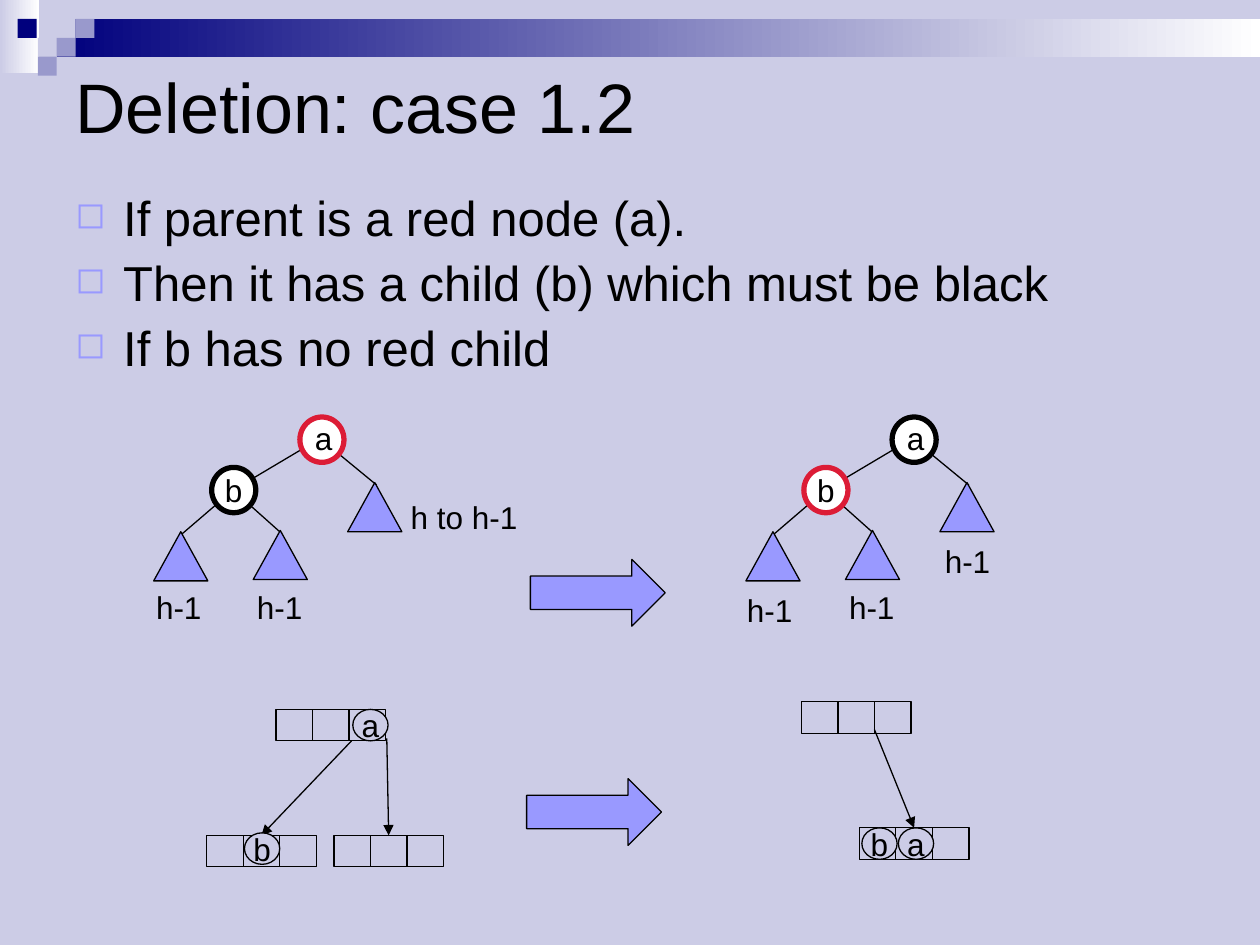
from lxml.etree import SubElement
from pptx import Presentation
from pptx.dml.color import RGBColor
from pptx.enum.shapes import MSO_CONNECTOR, MSO_SHAPE
from pptx.enum.text import MSO_ANCHOR, PP_ALIGN
from pptx.oxml.ns import qn
from pptx.util import Inches, Pt

LAVENDER = RGBColor(0xCC, 0xCC, 0xE6)
MUTED = RGBColor(0x99, 0x99, 0xCC)
PERIWINKLE = RGBColor(0x99, 0x99, 0xFF)
NAVY = RGBColor(0x00, 0x00, 0x7D)
RED = RGBColor(0xDC, 0x1C, 0x36)
BLACK = RGBColor(0x00, 0x00, 0x00)
WHITE = RGBColor(0xFF, 0xFF, 0xFF)


class TreeSlide:
    """Draws styled elements on one slide, with lengths in inches."""

    font_name = "Arial"
    thin = 0.75
    cell_width = 0.29
    cell_height = 0.25

    def __init__(self, presentation):
        self.slide = presentation.slides.add_slide(presentation.slide_layouts[6])
        self.shapes = self.slide.shapes
        fill = self.slide.background.fill
        fill.solid()
        fill.fore_color.rgb = LAVENDER

    def style(self, paragraph, size):
        font = paragraph.font
        font.name = self.font_name
        font.size = Pt(size)
        font.color.rgb = BLACK

    def shape(self, kind, left, top, width, height, fill=None, line=None,
              weight=thin, shapes=None):
        shape = (shapes or self.shapes).add_shape(
            kind, Inches(left), Inches(top), Inches(width), Inches(height))
        shape.shadow.inherit = False
        if fill is None:
            shape.fill.background()
        else:
            shape.fill.solid()
            shape.fill.fore_color.rgb = fill
        if line is None:
            shape.line.fill.background()
        else:
            shape.line.color.rgb = line
            shape.line.width = Pt(weight)
        return shape

    def gradient(self, left, top, width, height, start):
        shape = self.shape(MSO_SHAPE.RECTANGLE, left, top, width, height)
        shape.fill.gradient()
        shape.fill.gradient_angle = 0
        for stop, color in zip(shape.fill.gradient_stops, (start, WHITE)):
            stop.color.rgb = color

    def text(self, text, left, top, width, height, size=18, wrap=False,
             anchor=MSO_ANCHOR.TOP):
        frame = self.shapes.add_textbox(
            Inches(left), Inches(top), Inches(width), Inches(height)).text_frame
        frame.word_wrap = wrap
        frame.vertical_anchor = anchor
        frame.text = text
        for paragraph in frame.paragraphs:
            self.style(paragraph, size)
        return frame

    def bullets(self, items, left, top, width, height):
        frame = self.text("\n".join(items), left, top, width, height, 28, True)
        for index, paragraph in enumerate(frame.paragraphs):
            properties = paragraph._p.get_or_add_pPr()
            font_properties = properties.find(qn("a:defRPr"))
            properties.set("marL", str(Inches(0.38)))
            properties.set("indent", str(-Inches(0.38)))
            color = SubElement(properties, qn("a:buClr"))
            SubElement(color, qn("a:srgbClr"), val=str(PERIWINKLE))
            SubElement(properties, qn("a:buSzPct"), val="75000")
            SubElement(properties, qn("a:buChar"), char="◻")
            properties.append(font_properties)
            paragraph.line_spacing = 0.9
            paragraph.space_before = Pt(7 if index else 0)

    def node(self, left, top, width, height, text="", fill=WHITE, line=BLACK, weight=3):
        shape = self.shape(MSO_SHAPE.OVAL, left, top, width, height, fill, line, weight)
        if text:
            frame = shape.text_frame
            frame.word_wrap = False
            frame.vertical_anchor = MSO_ANCHOR.MIDDLE
            frame.text = text
            paragraph = frame.paragraphs[0]
            paragraph.alignment = PP_ALIGN.CENTER
            self.style(paragraph, 18)

    def key(self, text, left, top):
        self.node(left, top, 0.28, self.cell_height, text, LAVENDER, weight=self.thin)

    def line(self, start, end):
        connector = self.shapes.add_connector(
            MSO_CONNECTOR.STRAIGHT, *(Inches(value) for value in (*start, *end)))
        connector.line.color.rgb = BLACK
        connector.line.width = Pt(self.thin)
        SubElement(connector._element.spPr, qn("a:effectLst"))
        return connector

    def pointer(self, start, cell):
        connector = self.line(start, start)
        connector.end_connect(cell, 0)
        SubElement(connector.line._get_or_add_ln(), qn("a:tailEnd"), type="triangle")

    def cells(self, left, top):
        group = self.shapes.add_group_shape()
        return [self.shape(MSO_SHAPE.RECTANGLE, left + index * self.cell_width, top,
                           self.cell_width, self.cell_height, line=BLACK,
                           shapes=group.shapes)
                for index in range(3)]

    def tree(self, left, parent_color, child_color):
        parent, child = (left + 1.32, 3.48), (left + 0.63, 3.89)
        for start, end in ((child, (left + 1, 4.22)), (child, (left + 0.21, 4.25)),
                           (parent, (left + 1.77, 3.85)), (parent, child)):
            self.line(start, end)
        self.node(left + 1.16, 3.31, 0.35, 0.36, line=parent_color)
        self.node(left + 0.46, 3.71, 0.35, 0.36, "b", line=child_color)
        self.text("a", left + 1.18, 3.28, 0.34, 0.4)
        for offset, top in ((1.54, 3.83), (0, 4.22), (0.79, 4.21)):
            self.shape(MSO_SHAPE.FLOWCHART_EXTRACT, left + offset, top, 0.43, 0.39,
                       PERIWINKLE, BLACK)

    def block_arrow(self, left, top):
        self.shape(MSO_SHAPE.RIGHT_ARROW, left, top, 1.07, 0.53, PERIWINKLE, BLACK)

    def banner(self):
        self.gradient(0, 0, 0.31, 0.58, LAVENDER)
        self.gradient(0.45, 0.15, 9.55, 0.3, NAVY)
        for left, top, color in (
                (0.45, 0.15, LAVENDER), (0.6, 0, LAVENDER), (0.6, 0.15, MUTED),
                (0.3, 0.3, LAVENDER), (0.14, 0.15, NAVY), (0.45, 0.3, MUTED),
                (0.3, 0.45, MUTED)):
            self.shape(MSO_SHAPE.RECTANGLE, left, top, 0.15, 0.15, color)


def main():
    presentation = Presentation()
    presentation.slide_width = Inches(10)
    presentation.slide_height = Inches(7.5)
    slide = TreeSlide(presentation)

    slide.banner()
    slide.text("Deletion: case 1.2", 0.5, 0.5, 9, 0.67, 40, True, MSO_ANCHOR.MIDDLE)
    slide.bullets(["If parent is a red node (a).",
                   "Then it has a child (b) which must be black",
                   "If b has no red child"], 0.5, 1.49, 9, 1.6)

    slide.tree(1.22, RED, BLACK)
    slide.tree(5.92, BLACK, RED)
    slide.text("h to h-1", 3.16, 3.9, 1.05, 0.4)
    for left, top in ((1.94, 4.62), (1.14, 4.62), (7.4, 4.25), (6.64, 4.62), (5.83, 4.64)):
        slide.text("h-1", left, top, 0.56, 0.4)

    left_child = slide.cells(1.64, 6.63)
    right_child = slide.cells(2.65, 6.63)
    slide.cells(2.19, 5.63)
    slide.key("a", 2.8, 5.63)
    slide.pointer((2.79, 5.88), left_child[1])
    slide.pointer((3.07, 5.86), right_child[1])
    slide.key("b", 1.94, 6.61)

    merged_child = slide.cells(6.82, 6.57)
    slide.cells(6.36, 5.57)
    slide.key("a", 7.13, 6.57)
    slide.pointer((6.94, 5.79), merged_child[1])
    slide.key("b", 6.84, 6.57)

    slide.block_arrow(4.21, 4.44)
    slide.block_arrow(4.18, 6.18)
    presentation.save("out.pptx")


if __name__ == "__main__":
    main()
